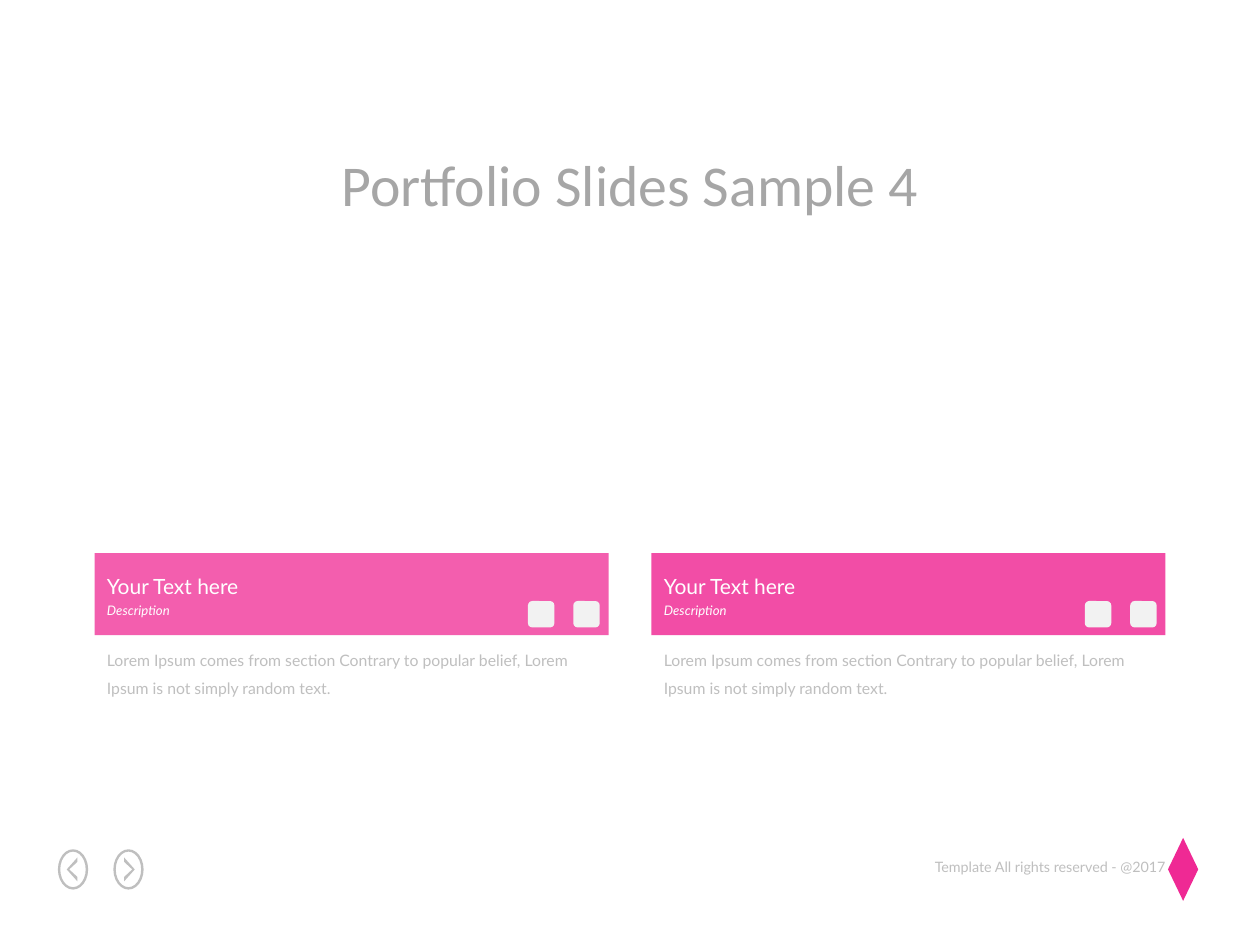
from lxml.etree import SubElement
from pptx import Presentation
from pptx.dml.color import RGBColor
from pptx.enum.shapes import MSO_SHAPE
from pptx.enum.text import MSO_ANCHOR, MSO_AUTO_SIZE, PP_ALIGN
from pptx.oxml.ns import qn
from pptx.util import Inches, Pt


def color(code):
    return RGBColor.from_string(code)


class PortfolioPage:
    """Style and current slide, measured in a grid of 100 columns by 75 rows."""

    columns, rows = 100, 75
    title_font, text_font = "Calibri", "Lato"
    pink, deep_pink = "EF2994", "EE1289"
    white, pale, silver, gray = "FFFFFF", "F2F2F2", "BFBFBF", "A6A6A6"

    def __init__(self, deck):
        self.deck = deck
        self.page = deck.slides.add_slide(deck.slide_layouts[5])

    def place(self, *lengths):
        across = self.deck.slide_width / self.columns
        down = self.deck.slide_height / self.rows
        return [round(length * unit) for length, unit in zip(lengths, (across, down) * 2)]

    def fill_text(self, box, wording, code, wrap=False, align=PP_ALIGN.LEFT, spacing=1.0, **font):
        frame = box.text_frame
        frame.text = wording
        para = frame.paragraphs[0]
        frame_format = {"word_wrap": wrap, "vertical_anchor": MSO_ANCHOR.TOP,
                        "auto_size": MSO_AUTO_SIZE.SHAPE_TO_FIT_TEXT}
        para_format = {"alignment": align, "line_spacing": spacing}
        span = para.runs[0]
        font_format = {"name": self.text_font, **font}
        for target, values in ((frame, frame_format), (para, para_format), (span.font, font_format)):
            for name, value in values.items():
                setattr(target, name, value)
        span.font.color.rgb = color(code)

    def title(self, wording, *area):
        box = self.page.shapes.title
        for name, value in zip(("left", "top", "width", "height"), self.place(*area)):
            setattr(box, name, value)
        self.fill_text(box, wording, self.gray, align=PP_ALIGN.CENTER,
                       name=self.title_font, size=Pt(33))

    def text(self, wording, area, code, **style):
        self.fill_text(self.page.shapes.add_textbox(*self.place(*area)), wording, code, **style)

    def paint(self, shape, code):
        shape.shadow.inherit = False
        shape.fill.solid()
        shape.fill.fore_color.rgb = color(code)
        shape.line.fill.background()
        return shape

    def shape(self, kind, area, code, opacity=100, adjust=None):
        shape = self.paint(self.page.shapes.add_shape(kind, *self.place(*area)), code)
        if adjust is not None:
            shape.adjustments[0] = adjust
        if opacity < 100:
            tint = next(shape.element.iter(qn("a:srgbClr")))
            SubElement(tint, qn("a:alpha")).set("val", str(opacity * 1000))

    def outline(self, points, code):
        start, *others = [self.place(*point) for point in points]
        builder = self.page.shapes.build_freeform(*start)
        builder.add_line_segments(others, close=True)
        self.paint(builder.convert_to_shape(), code)

    def arrow_button(self, center, direction):
        middle = 69
        self.shape(MSO_SHAPE.DONUT, (center - 1.2, middle - 1.6, 2.4, 3.2), self.silver, adjust=0.08)
        chevron = [(-0.35, -0.6), (0.3, 0), (-0.35, 0.6), (-0.35, 0.95), (0.5, 0), (-0.35, -0.95)]
        self.outline([(center + direction * x, middle + y) for x, y in chevron], self.silver)

    def card(self, left, code):
        width = 40.8
        self.shape(MSO_SHAPE.RECTANGLE, (left, 43.9, width, 6.5), code, opacity=75)
        self.text("Your Text here", (left, 45, 13.1, 3), self.white, size=Pt(12))
        self.text("Description", (left, 47.3, 7.1, 2.3), self.white, size=Pt(7.5), italic=True)
        self.text("Lorem Ipsum comes from section Contrary to popular belief, "
                  "Lorem Ipsum is not simply random text.",
                  (left, 50.4, width, 5.6), self.silver, wrap=True, spacing=1.5, size=Pt(9))
        for offset in (34.4, 38):
            self.shape(MSO_SHAPE.ROUNDED_RECTANGLE, (left + offset, 47.7, 2.1, 2.1), self.pale)

    def footer(self):
        self.text("Template All rights reserved - @2017", (72.5, 67.6, 21, 2.4), self.silver,
                  align=PP_ALIGN.RIGHT, size=Pt(8.2))
        for center, direction in ((5.8, -1), (10.2, 1)):
            self.arrow_button(center, direction)
        self.shape(MSO_SHAPE.DIAMOND, (92.7, 66.5, 2.4, 5), self.pink)


def main():
    deck = Presentation()
    deck.slide_width, deck.slide_height = Inches(10), Inches(7.5)
    portfolio = PortfolioPage(deck)
    portfolio.footer()
    portfolio.title("Portfolio Slides Sample 4", 24.1, 11.3, 51.8, 6.6)
    for left, code in ((7.5, portfolio.pink), (51.7, portfolio.deep_pink)):
        portfolio.card(left, code)
    deck.save("out.pptx")


if __name__ == "__main__":
    main()
